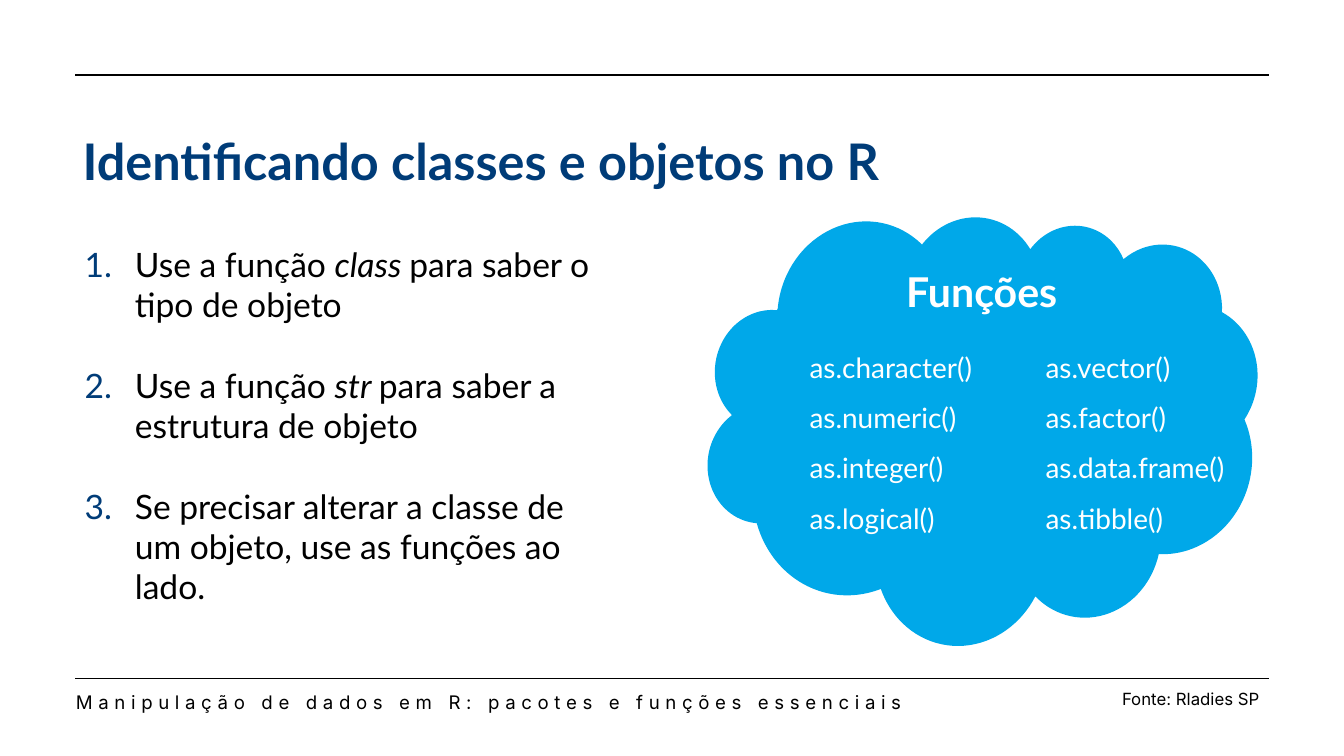
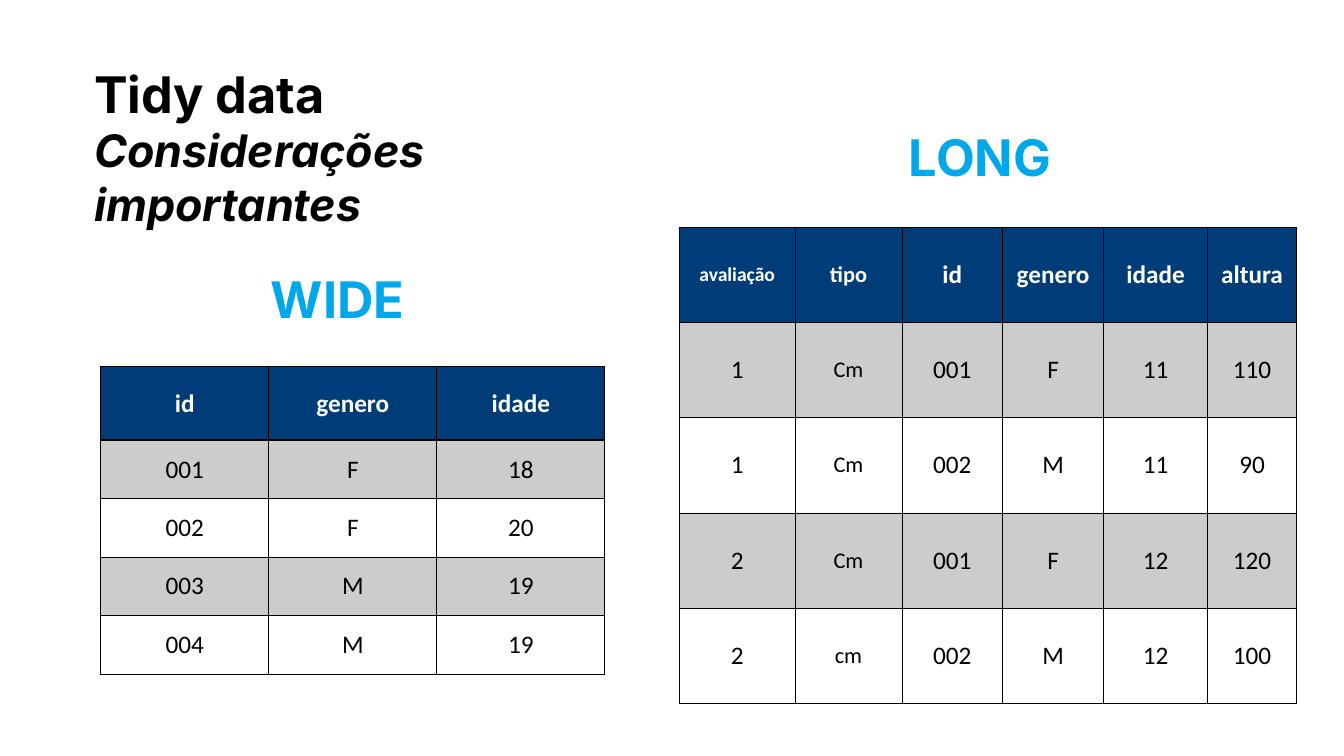
"""Build two slides on R classes and tidy data."""
from lxml import etree
from pptx import Presentation
from pptx.dml.color import RGBColor
from pptx.enum.shapes import MSO_CONNECTOR, MSO_SHAPE
from pptx.enum.text import MSO_ANCHOR, MSO_AUTO_SIZE, PP_ALIGN
from pptx.oxml.ns import qn
from pptx.util import Cm, Pt

LEFT, MID = PP_ALIGN.LEFT, PP_ALIGN.CENTER
TOP, CENTRE = MSO_ANCHOR.TOP, MSO_ANCHOR.MIDDLE
CLOUD, LINE, FIXED = MSO_SHAPE.CLOUD, MSO_CONNECTOR.STRAIGHT, MSO_AUTO_SIZE.NONE


class Theme:
    """Colours, faces and type sizes."""
    navy, sky, black, white = "003C78", "00A8E9", "000000", "FFFFFF"
    lato, inter, grid = "Lato", "Inter", "Calibri"
    title, sub, head, body, code = 54, 48, 44, 36, 30
    foot, note = 20, 18
    cell, unit, tiny = 27, 24, 21


SIZE = (50.8, 28.58)
RULES = dict(left=2.84, right=47.96, tops=(25.65, 2.84))
HEAD = "Identificando classes e objetos no R"
STEPS = [
    [("Use a função ", {}), ("class ", {"italic": True}),
     ("para saber o tipo de objeto", {})],
    [("Use a função ", {}), ("str ", {"italic": True}),
     ("para saber a estrutura de objeto", {})],
    [("Se precisar alterar a classe de um objeto, "
      "use as funções ao lado.", {})],
]
CALLS = [
    ["as.character()", "as.numeric()", "as.integer()", "as.logical()"],
    ["as.vector()", "as.factor()", "as.data.frame()", "as.tibble()"],
]
FOOT = "Manipulação de dados em R: pacotes e funções essenciais"
CREDIT = "Fonte: Rladies SP"
TIDY = [
    [("Tidy data", {})],
    [("Considerações importantes", {"size": Pt(Theme.sub), "italic": True})],
]
GRIDS = [
    dict(name="WIDE", label=(7.19, 10.01), at=(3.81, 13.87),
         cols=[6.35] * 3, rows=[2.77] + [2.21] * 4, sizes={}, top={},
         data=[("id", "genero", "idade"), ("001", "F", "18"),
               ("002", "F", "20"), ("003", "M", "19"), ("004", "M", "19")]),
    dict(name="LONG", label=(31.47, 4.65), at=(25.68, 8.59),
         cols=[4.37, 4.04, 3.81, 3.81, 3.94, 3.35], rows=[3.6] * 5,
         sizes={1: Theme.unit}, top={0: Theme.tiny},
         data=[("avaliação", "tipo", "id", "genero", "idade", "altura"),
               ("1", "Cm", "001", "F", "11", "110"),
               ("1", "Cm", "002", "M", "11", "90"),
               ("2", "Cm", "001", "F", "12", "120"),
               ("2", "cm", "002", "M", "12", "100")]),
]


def rgb(code):
    """Turn a hex code into a colour."""
    return RGBColor.from_string(code)


def write(frame, paras, size, face, ink, bold=False, align=LEFT):
    """Write paragraphs run by run; a plain string is one run."""
    for i, runs in enumerate(paras):
        para = frame.add_paragraph() if i else frame.paragraphs[0]
        para.alignment = align
        for text, extra in [(runs, {})] if isinstance(runs, str) else runs:
            run = para.add_run()
            run.text = text
            font = run.font
            font.name, font.size, font.bold = face, Pt(size), bold
            font.color.rgb = rgb(ink)
            for key, val in extra.items():
                setattr(font, key, val)
    return frame.paragraphs


def box(slide, place, wrap=True, anchor=TOP):
    """Add an empty text box and return its frame."""
    frame = slide.shapes.add_textbox(*map(Cm, place)).text_frame
    frame.word_wrap, frame.vertical_anchor = wrap, anchor
    return frame


def head(slide, place, paras, face, ink, anchor):
    """Place and fill the title."""
    title = slide.shapes.title
    title.left, title.top, title.width, title.height = map(Cm, place)
    frame = title.text_frame
    frame.word_wrap, frame.auto_size = True, FIXED
    frame.vertical_anchor = anchor
    write(frame, paras, Theme.title, face, ink, True)


def rule(slide, top):
    """Draw one full-width rule."""
    line = slide.shapes.add_connector(
        LINE, Cm(RULES["left"]), Cm(top), Cm(RULES["right"]), Cm(top))
    line.line.color.rgb, line.line.width = rgb(Theme.black), Pt(1.5)
    etree.SubElement(line._element.spPr, qn("a:effectLst"))


def tint(parent, ink):
    """Add a solid fill to an XML node and return its colour node."""
    fill = etree.SubElement(parent, qn("a:solidFill"))
    return etree.SubElement(fill, qn("a:srgbClr"), val=ink)


def number(para):
    """Give a paragraph a hanging navy number."""
    props = para._p.get_or_add_pPr()
    props.set("marL", str(Cm(1.9)))
    props.set("indent", str(-Cm(1.9)))
    mark = etree.SubElement(props, qn("a:buClr"))
    etree.SubElement(mark, qn("a:srgbClr"), val=Theme.navy)
    etree.SubElement(props, qn("a:buAutoNum"), type="arabicPeriod")


def edge(cell, row, last):
    """Draw the four borders, thicker under the header."""
    props = cell._tc.get_or_add_tcPr()
    wide = {"lnT": row == 1, "lnB": row == 0 and last > 0}
    for i, side in enumerate(("lnL", "lnR", "lnT", "lnB")):
        line = etree.Element(
            qn("a:" + side), w=str(Pt(2 if wide.get(side) else 1)))
        tint(line, Theme.black)
        props.insert(i, line)


def shade(cell, row):
    """Fill the header navy and every odd row with faint black."""
    fill = cell.fill
    if row and row % 2 == 0:
        fill.background()
        return
    fill.solid()
    fill.fore_color.rgb = rgb(Theme.black if row else Theme.navy)
    if row:
        ink = cell._tc.tcPr.find(".//" + qn("a:srgbClr"))
        etree.SubElement(ink, qn("a:alpha"), val="20000")


def table(slide, grid):
    """Add a labelled table."""
    cols, rows, data = grid["cols"], grid["rows"], grid["data"]
    place = (*grid["at"], sum(cols), sum(rows))
    tab = slide.shapes.add_table(
        len(rows), len(cols), *map(Cm, place)).table
    tab.horz_banding = False
    for parts, sizes, key in ((tab.columns, cols, "width"),
                              (tab.rows, rows, "height")):
        for part, size in zip(parts, sizes):
            setattr(part, key, Cm(size))
    for r, texts in enumerate(data):
        sizes = grid["sizes"] if r else {**grid["sizes"], **grid["top"]}
        for c, text in enumerate(texts):
            cell = tab.cell(r, c)
            cell.vertical_anchor = CENTRE
            cell.margin_left = cell.margin_right = Cm(0.38)
            cell.margin_top = cell.margin_bottom = Cm(0.18)
            write(cell.text_frame, [text], sizes.get(c, Theme.cell),
                  Theme.grid, Theme.black if r else Theme.white, r == 0, MID)
            shade(cell, r)
            edge(cell, r, len(rows) - 1)
    write(box(slide, (*grid["label"], 11.15, 2.57)), [grid["name"]],
          Theme.title, Theme.inter, Theme.sky, True, MID)


def classes(slide):
    """Build the slide on classes and objects."""
    cloud = slide.shapes.add_shape(
        CLOUD, *map(Cm, (26.77, 7.87, 20.65, 16.56)))
    cloud.rotation, cloud.shadow.inherit = 12, False
    cloud.fill.solid()
    cloud.fill.fore_color.rgb = rgb(Theme.sky)
    cloud.line.fill.background()

    steps = write(box(slide, (2.95, 9.09, 20.65, 14.1)), STEPS,
                  Theme.body, Theme.lato, Theme.black)
    for i, para in enumerate(steps):
        if i:
            para.space_before = Pt(Theme.body * 1.2)
        number(para)

    for i, names in enumerate(CALLS):
        frame = box(slide, (30.15 + i * 8.92, 12.48, 8.7, 7.95))
        frame.margin_left = Cm(0.45)
        for para in write(frame, names, Theme.code, Theme.lato, Theme.white):
            para.line_spacing = 1.5

    for top in RULES["tops"]:
        rule(slide, top)
    frame = box(slide, (2.87, 25.98, 32.28, 0.91))
    frame.margin_left = frame.margin_right = 0
    frame.margin_top = frame.margin_bottom = 0
    para = write(frame, [FOOT], Theme.foot, Theme.inter, Theme.black)[0]
    para.line_spacing = Pt(28)
    para.runs[0].font._element.set("spc", "600")
    write(box(slide, (42.16, 25.93, 5.79, 1.02), False), [CREDIT],
          Theme.note, Theme.inter, Theme.black)

    head(slide, (2.87, 3.66, 40.51, 4.83), [HEAD],
         Theme.lato, Theme.navy, CENTRE)
    write(box(slide, (31.88, 8.97, 10.46, 4.04), anchor=CENTRE), ["Funções"],
          Theme.head, Theme.lato, Theme.white, True, MID)


def tidy(slide):
    """Build the slide on wide and long tables."""
    for grid in GRIDS:
        table(slide, grid)
    head(slide, (3.3, 2.24, 22.38, 4.62), TIDY,
         Theme.inter, Theme.black, TOP)


def main():
    """Build and save the deck."""
    deck = Presentation()
    deck.slide_width, deck.slide_height = map(Cm, SIZE)
    for build in (classes, tidy):
        build(deck.slides.add_slide(deck.slide_layouts[5]))
    deck.save("out.pptx")


if __name__ == "__main__":
    main()
